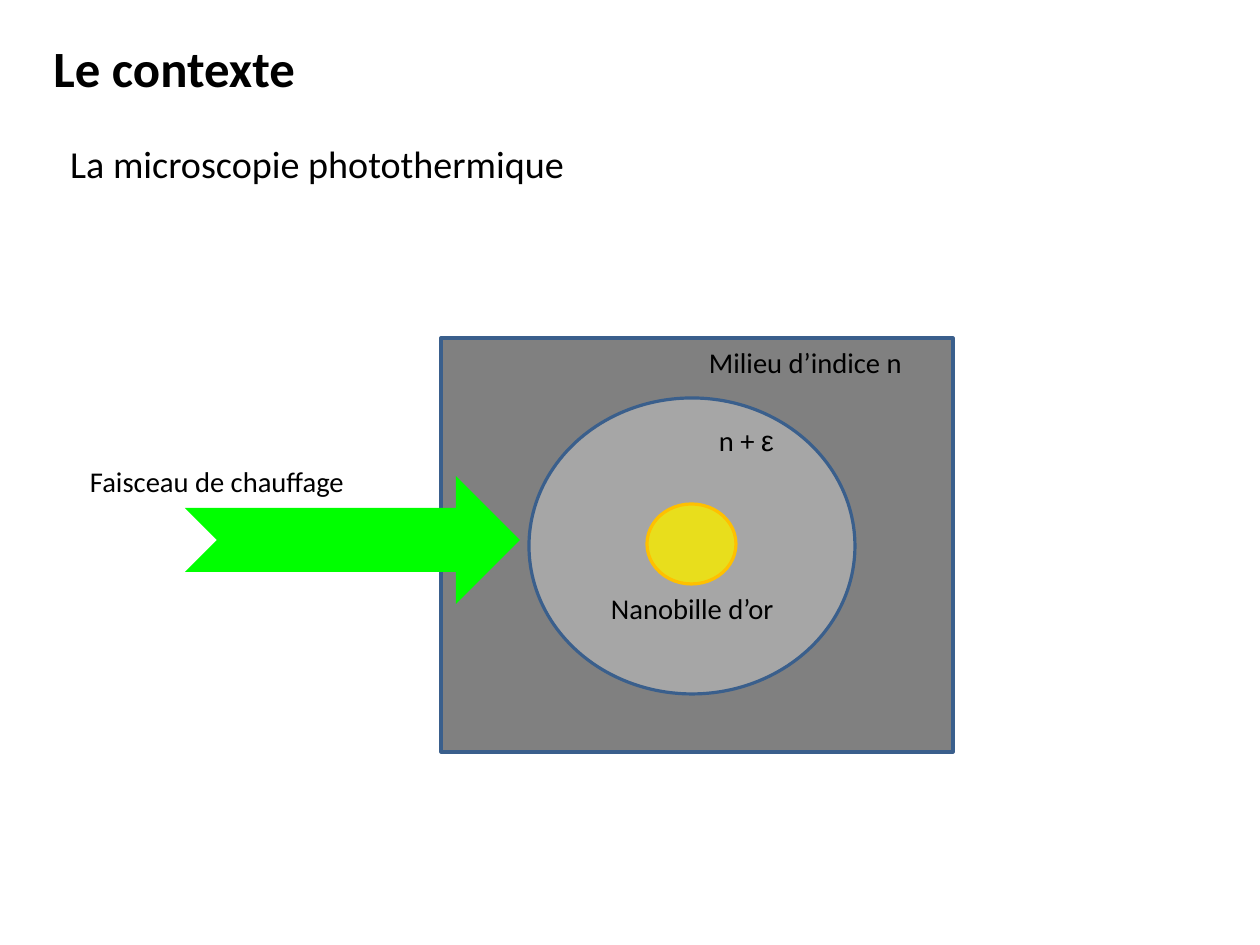
from pptx import Presentation
from pptx.dml.color import RGBColor
from pptx.enum.shapes import MSO_SHAPE as Preset
from pptx.enum.text import MSO_ANCHOR as Anchor, MSO_AUTO_SIZE as AutoSize, PP_ALIGN as Align
from pptx.util import Pt

PX = 8000
BLUE = "3A5F8C"


def color(hex_code):
    """Return the colour for a hex string."""
    return RGBColor.from_string(hex_code)


def emu(*lengths):
    """Turn px lengths into EMU."""
    return [length * PX for length in lengths]


def write(holder, *runs, size=18, bold=False, inset=(13, 7), wrap=True):
    """Fill a text holder with left-aligned runs given as (text, font) pairs."""
    frame = holder.text_frame
    frame.word_wrap = wrap
    frame.auto_size = AutoSize.SHAPE_TO_FIT_TEXT
    frame.vertical_anchor = Anchor.TOP
    if inset:
        side, edge = emu(*inset)
        frame.margin_left = frame.margin_right = side
        frame.margin_top = frame.margin_bottom = edge
    paragraph = frame.paragraphs[0]
    paragraph.alignment = Align.LEFT
    for text, font_name in runs:
        run = paragraph.add_run()
        run.text = text
        run.font.name = font_name
        run.font.size = Pt(size)
        run.font.bold = bold
        run.font.color.rgb = color("000000")


def label(slide, box, *runs, **style):
    """Add a text box with the given runs."""
    write(slide.shapes.add_textbox(*emu(*box)), *runs, **style)


def figure(slide, preset, box, fill, outline=None):
    """Add a flat preset shape with an optional outline."""
    shape = slide.shapes.add_shape(preset, *emu(*box))
    shape.shadow.inherit = False
    shape.fill.solid()
    shape.fill.fore_color.rgb = color(fill)
    if outline:
        shape.line.color.rgb = color(outline)
        shape.line.width = Pt(2)
    else:
        shape.line.fill.background()


def heading(slide, left, top):
    """Place the title and the subject below it."""
    title = slide.shapes.title
    title.left, title.top, title.width, title.height = emu(left, top, 266, 74)
    write(title, ("Le contexte", "Calibri"), size=32, bold=True, inset=None, wrap=False)
    label(slide, (left + 17, top + 104, 856, 150), ("La microscopie photothermique", "Calibri"),
          size=24, inset=None)


def medium(slide, left, top):
    """Draw the medium, its heated zone and the gold bead."""
    figure(slide, Preset.RECTANGLE, (left, top, 512, 414), "808080", BLUE)
    figure(slide, Preset.OVAL, (left + 88, top + 60, 326, 296), "A6A6A6", BLUE)
    figure(slide, Preset.OVAL, (left + 206, top + 166, 89, 80), "E8DE1C", "FFC000")
    label(slide, (left + 265, top + 78, 118, 47), ("n + ", "Calibri"), ("ε", "Arial"))
    label(slide, (left + 255, top, 433, 47), ("Milieu d’indice n", "Calibri"))
    label(slide, (left + 157, top + 246, 512, 47), ("Nanobille d’or", "Calibri"))


def heating_beam(slide, left, top):
    """Draw the heating beam with its caption above."""
    figure(slide, Preset.NOTCHED_RIGHT_ARROW, (left + 108, top + 19, 335, 128), "00FF00")
    label(slide, (left, top, 315, 47), ("Faisceau de chauffage", "Calibri"))


def main():
    """Build and save the slide."""
    deck = Presentation()
    deck.slide_width, deck.slide_height = emu(1260, 945)
    slide = deck.slides.add_slide(deck.slide_layouts[5])
    heading(slide, 42, 31)
    medium(slide, 441, 338)
    heating_beam(slide, 77, 457)
    deck.save("out.pptx")


if __name__ == "__main__":
    main()
